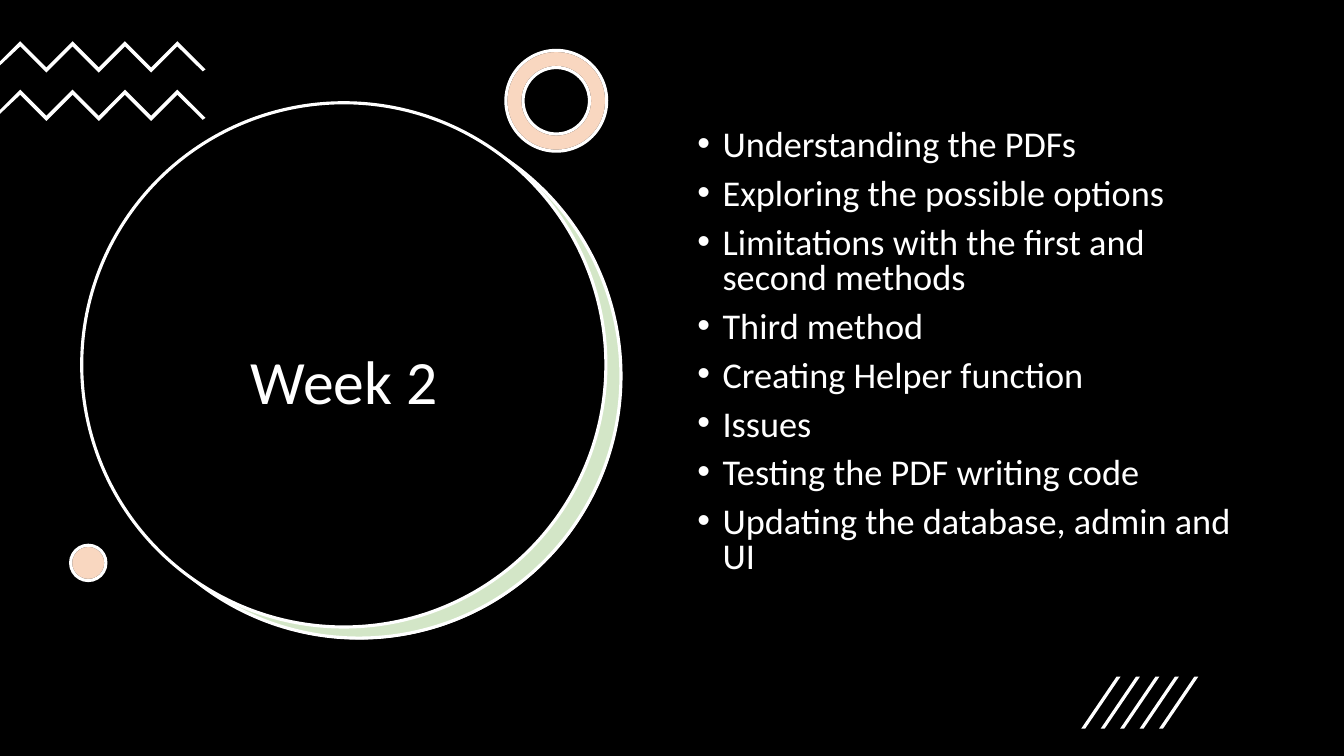
"""Build the Week 2 progress slide."""
from dataclasses import dataclass
from typing import Optional

import pptx
import pptx.dml.color
import pptx.enum.shapes
import pptx.enum.text
import pptx.oxml
import pptx.oxml.ns
import pptx.util

Cm = pptx.util.Cm
Pt = pptx.util.Pt
Preset = pptx.enum.shapes.MSO_SHAPE
COLORS = {"black": "000000", "white": "FFFFFF", "green": "70AD47", "orange": "ED7D31"}
FONT = "Calibri"
TOPICS = [
    "Understanding the PDFs",
    "Exploring the possible options",
    "Limitations with the first and second methods",
    "Third method",
    "Creating Helper function",
    "Issues",
    "Testing the PDF writing code",
    "Updating the database, admin and UI",
]


@dataclass
class Figure:
    """A preset shape with its place in centimetres and its colours."""
    preset: Preset
    left: float
    top: float
    width: float
    height: float
    fill: str
    line: Optional[str] = None
    opacity: int = 100
    adjustment: Optional[float] = None


def round_figure(left: float, top: float, size: float, fill: str,
                 preset: Preset = Preset.OVAL, **look) -> Figure:
    """Describe a figure as wide as it is high."""
    return Figure(preset, left, top, size, size, fill, **look)


RING = (12.75, 1.27, 2.54)
DOT = (1.78, 13.74, 0.89)
DONUT = {"preset": Preset.DONUT, "adjustment": 0.17}
TINT = {"fill": "orange", "line": "white", "opacity": 30}
BACKDROP = [
    Figure(Preset.RECTANGLE, 0, 0, 33.87, 19.05, "black"),
    round_figure(2.46, 2.9, 13.21, "white"),
    round_figure(2.44, 2.87, 13.21, "green", line="white", opacity=30),
    round_figure(2.06, 2.59, 13.21, "black", line="white"),
]
ACCENTS = [
    round_figure(*RING, fill="white", line="black", **DONUT),
    round_figure(*RING, **TINT, **DONUT),
    round_figure(*DOT, fill="white", line="black"),
    round_figure(*DOT, **TINT),
]


def rgb(name: str) -> pptx.dml.color.RGBColor:
    """Look up a colour by name."""
    return pptx.dml.color.RGBColor.from_string(COLORS[name])


def paint(shape, fill: str, line: Optional[str] = None, opacity: int = 100) -> None:
    """Set the fill, outline and opacity of a shape."""
    shape.shadow.inherit = False
    shape.fill.solid()
    shape.fill.fore_color.rgb = rgb(fill)
    if opacity < 100:
        color = shape.element.spPr.find(".//" + pptx.oxml.ns.qn("a:srgbClr"))
        color.append(pptx.oxml.parse_xml(
            f'<a:alpha {pptx.oxml.ns.nsdecls("a")} val="{opacity * 1000}"/>'))
    if line:
        shape.line.color.rgb = rgb(line)
        shape.line.width = Pt(2.25)
    else:
        shape.line.fill.background()


def draw_figure(shapes, figure: Figure) -> None:
    """Draw one preset figure."""
    shape = shapes.add_shape(figure.preset, Cm(figure.left), Cm(figure.top),
                             Cm(figure.width), Cm(figure.height))
    if figure.adjustment is not None:
        shape.adjustments[0] = figure.adjustment
    paint(shape, figure.fill, figure.line, figure.opacity)


def draw_outline(shapes, points: list[tuple[float, float]], left: float, top: float) -> None:
    """Draw a white closed polygon moved to the given corner."""
    corners = [(Cm(left + x), Cm(top + y)) for x, y in points]
    builder = shapes.build_freeform(*corners[0])
    builder.add_line_segments(corners[1:], close=True)
    paint(builder.convert_to_shape(), "white")


def place(shape, left: float, top: float, width: float, height: float) -> None:
    """Move a placeholder to the front and set its box."""
    shape.left, shape.top = Cm(left), Cm(top)
    shape.width, shape.height = Cm(width), Cm(height)
    shape.element.getparent().append(shape.element)


def write(paragraph, text: str, *, size: float, line_spacing: float,
          align: pptx.enum.text.PP_ALIGN, space_before: float = 0,
          bullet: Optional[str] = None) -> None:
    """Write formatted text into a paragraph."""
    run = paragraph.add_run()
    run.text = text
    run.font.size = Pt(size)
    run.font.name = FONT
    run.font.color.rgb = rgb("white")
    paragraph.alignment = align
    paragraph.line_spacing = line_spacing
    paragraph.space_before = Pt(space_before)
    if bullet:
        properties = paragraph._p.get_or_add_pPr()
        properties.set("marL", str(Cm(0.635)))
        properties.set("indent", str(-Cm(0.635)))
        for tag, value in (("buFont", 'typeface="Arial"'), ("buChar", f'char="{bullet}"')):
            properties.append(pptx.oxml.parse_xml(
                f'<a:{tag} {pptx.oxml.ns.nsdecls("a")} {value}/>'))


def draw_title(slide) -> None:
    """Fill the title inside the big circle."""
    title = slide.shapes.title
    place(title, 3.07, 5.21, 11.2, 8.94)
    title.text_frame.vertical_anchor = pptx.enum.text.MSO_ANCHOR.MIDDLE
    title.text_frame.auto_size = pptx.enum.text.MSO_AUTO_SIZE.NONE
    write(title.text_frame.paragraphs[0], "Week 2", size=44, line_spacing=0.9,
          align=pptx.enum.text.PP_ALIGN.CENTER)


def draw_topics(slide) -> None:
    """Fill the bulleted list."""
    body = slide.placeholders[1]
    place(body, 17.32, 3.15, 14.5, 12.09)
    frame = body.text_frame
    frame.vertical_anchor = pptx.enum.text.MSO_ANCHOR.TOP
    frame.auto_size = pptx.enum.text.MSO_AUTO_SIZE.NONE
    for index, topic in enumerate(TOPICS):
        paragraph = frame.add_paragraph() if index else frame.paragraphs[0]
        write(paragraph, topic, size=25.9, line_spacing=0.8, space_before=10,
              align=pptx.enum.text.PP_ALIGN.LEFT, bullet="•")


def draw_zigzags(slide) -> None:
    """Draw the two zigzag bands at the left edge."""
    upper = [(0.51 + 0.66 * step, 0.66 * (step % 2)) for step in range(7)]
    lower = [(x, y + 0.13) for x, y in reversed(upper)]
    band = upper + [(5.18, 0.71), (5.11, 0.76)] + lower + [(0, 0.61), (0, 0.51)]
    group = slide.shapes.add_group_shape()
    for row in range(2):
        draw_outline(group.shapes, band, 0, 1.04 + 1.22 * row)


def draw_slashes(slide) -> None:
    """Draw the row of slanted strokes."""
    stroke = [(0.1, 1.31), (0, 1.31), (0.89, 0), (0.99, 0)]
    group = slide.shapes.add_group_shape()
    for column in range(5):
        draw_outline(group.shapes, stroke, 27.25 + 0.49 * column, 17.05)


def main() -> None:
    """Build and save the presentation."""
    presentation = pptx.Presentation()
    presentation.slide_width, presentation.slide_height = Cm(33.87), Cm(19.05)
    slide = presentation.slides.add_slide(presentation.slide_layouts[1])
    for figure in BACKDROP:
        draw_figure(slide.shapes, figure)
    draw_title(slide)
    draw_zigzags(slide)
    for figure in ACCENTS:
        draw_figure(slide.shapes, figure)
    draw_topics(slide)
    draw_slashes(slide)
    presentation.save("out.pptx")


if __name__ == "__main__":
    main()
